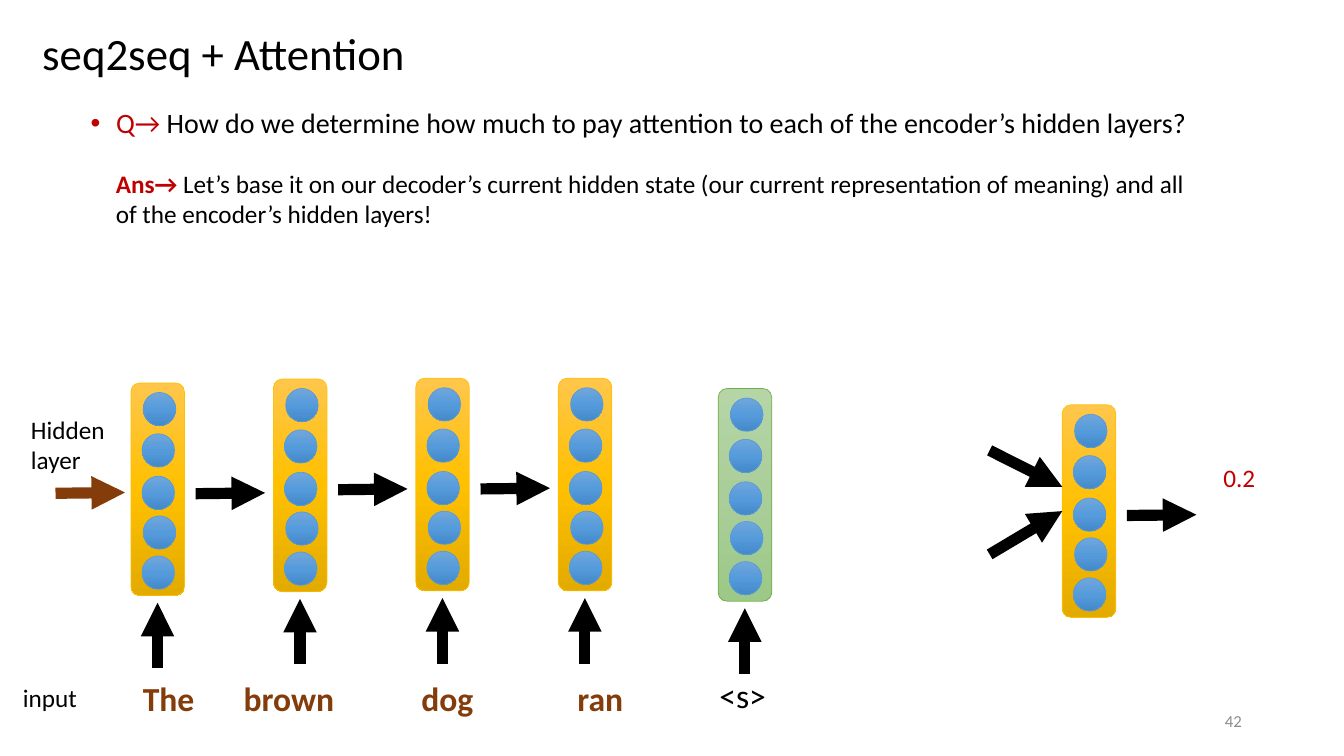
from copy import deepcopy

from lxml.etree import SubElement
from pptx import Presentation
from pptx.dml.color import RGBColor
from pptx.enum.shapes import MSO_CONNECTOR, MSO_SHAPE
from pptx.enum.text import MSO_ANCHOR, MSO_AUTO_SIZE, PP_ALIGN
from pptx.oxml.ns import qn
from pptx.util import Cm, Pt

COLORS = {
    "black": "000000",
    "red": "C00000",
    "brown": "843C0B",
    "gray": "8C8C8C",
    "gold_line": "FFC000",
    "green_line": "70AD47",
    "blue_line": "5B9BD5",
}
GRADIENTS = {
    "gold": ["FFC64B", "FFC000", "E3AB00"],
    "green": ["B5D5A7", "AACE9A", "9CC987"],
    "blue": ["71A6DB", "559BDB", "448ACA"],
}
FONT = "Calibri"


def add_arrow(shapes, start, end, color="black"):
    arrow = shapes.add_connector(
        MSO_CONNECTOR.STRAIGHT, *[Cm(value) for value in (*start, *end)])
    arrow.line.color.rgb = RGBColor.from_string(COLORS[color])
    arrow.line.width = Pt(8)
    properties = arrow._element.spPr
    SubElement(properties.find(qn("a:ln")), qn("a:tailEnd"), type="triangle")
    SubElement(properties, qn("a:effectLst"))
    return arrow


def style_runs(paragraph, size, *looks):
    """Format the runs in turn, each with a (color, bold) look."""
    for run, (color, bold) in zip(paragraph.runs, looks):
        run.font.name = FONT
        run.font.size = Pt(size)
        run.font.bold = bold
        run.font.color.rgb = RGBColor.from_string(COLORS[color])


prs = Presentation()
prs.slide_width, prs.slide_height = Cm(33.87), Cm(19.05)
slide = prs.slides.add_slide(prs.slide_layouts[1])

# Title and question
title, question = slide.placeholders
title.left, title.top, title.width, title.height = Cm(0.81), Cm(0.46), Cm(29.21), Cm(1.9)
title.text_frame.text = "seq2seq + Attention"
title.text_frame.vertical_anchor = MSO_ANCHOR.MIDDLE
heading = title.text_frame.paragraphs[0]
heading.alignment = PP_ALIGN.LEFT
heading.line_spacing = 0.9
style_runs(heading, 32, ("black", False))

question.left, question.top, question.width, question.height = (
    Cm(2.03), Cm(2.62), Cm(29.21), Cm(2.82))
question.text_frame.auto_size = MSO_AUTO_SIZE.NONE
question_line = question.text_frame.paragraphs[0]
question_line.text = "Q→ "
question_line.add_run().text = (
    "How do we determine how much to pay attention to each of the encoder’s hidden layers?")
question_line.line_spacing = 0.9
question_line.space_before = Pt(0)
indents = question_line._p.get_or_add_pPr()
indents.set("marL", str(Cm(0.64)))
indents.set("indent", str(-Cm(0.64)))
SubElement(indents, qn("a:buFont"), typeface="Arial")
SubElement(indents, qn("a:buChar"), char="•")
style_runs(question_line, 20, ("red", False), ("black", False))

# Hidden states: left, top, gradient, line, arrow up from input, arrow to the right
encoder_left, encoder_pitch = 3.3, 3.59
states = [
    (encoder_left + i * encoder_pitch, top, "gold", "gold_line", True, i < 3)
    for i, top in enumerate([9.65, 9.55, 9.53, 9.53])
]
states.append((18.1, 9.79, "green", "green_line", True, False))
states.append((26.77, 10.2, "gold", "gold_line", False, True))
unit_offsets = [(0.31, 0.24), (0.28, 1.28), (0.28, 2.35), (0.31, 3.35), (0.28, 4.36)]

for left, top, gradient, outline, from_input, to_right in states:
    state_group = slide.shapes.add_group_shape()
    column = state_group.shapes.add_shape(
        MSO_SHAPE.ROUNDED_RECTANGLE, Cm(left), Cm(top), Cm(1.35), Cm(5.36))
    parts = [(column, gradient, outline)]
    for dx, dy in unit_offsets:
        unit = state_group.shapes.add_shape(
            MSO_SHAPE.OVAL, Cm(left + dx), Cm(top + dy), Cm(0.82), Cm(0.84))
        parts.append((unit, "blue", "blue_line"))

    for part, fill_name, line_name in parts:
        part.shadow.inherit = False
        part.fill.gradient()
        part.fill.gradient_angle = 270
        stop_list = part._element.spPr.find(qn("a:gradFill")).find(qn("a:gsLst"))
        stop_list.append(deepcopy(stop_list[-1]))
        for i, (stop, color) in enumerate(zip(part.fill.gradient_stops, GRADIENTS[fill_name])):
            stop.position = i / 2
            stop.color.rgb = RGBColor.from_string(color)
        part.line.color.rgb = RGBColor.from_string(COLORS[line_name])
        part.line.width = Pt(0.5)

    if from_input:
        add_arrow(state_group.shapes, (left + 0.67, top + 7.19), (left + 0.67, top + 5.54))
    if to_right:
        add_arrow(state_group.shapes, (left + 1.63, top + 2.79), (left + 3.38, top + 2.77))

# Arrows into the first encoder state and the scoring layer, the last column
add_arrow(slide.shapes, (1.4, 12.43), (3.15, 12.41), "brown")
add_arrow(state_group.shapes, (24.94, 11.35), (26.77, 12.27))
decoder_arrow = add_arrow(slide.shapes, (24.94, 13.97), (26.77, 12.88))
decoder_arrow.end_connect(column, 1)

# Labels: text, left, top, width, height, size, color, bold, wrap
labels = [
    ("input", 0.33, 17.07, 1.88, 1.02, 18, "black", False, False),
    ("Hidden\nlayer", 0.53, 10.31, 2.39, 1.8, 18, "black", False, False),
    ("<s>", 17.88, 16.89, 1.7, 1.27, 24, "black", False, False),
    ("0.2", 30.58, 11.53, 1.32, 1.02, 18, "red", False, True),
    ("42", 23.93, 17.65, 7.62, 1.02, 12, "gray", False, True),
    ("The\tbrown\tdog\tran", 3.35, 16.97, 12.83, 1.27, 24, "brown", True, True),
    ("Ans→", 2.67, 4.11, 28.04, 1.8, 18, "red", True, True),
]
frames = {}
for text, left, top, width, height, size, color, bold, wrap in labels:
    frame = slide.shapes.add_textbox(Cm(left), Cm(top), Cm(width), Cm(height)).text_frame
    frame.word_wrap = wrap
    frame.text = text
    for paragraph in frame.paragraphs:
        style_runs(paragraph, size, (color, bold))
    frames[text] = frame

page_number = frames["42"]
page_number.vertical_anchor = MSO_ANCHOR.MIDDLE
page_number.paragraphs[0].alignment = PP_ALIGN.RIGHT

input_words = frames["The\tbrown\tdog\tran"].paragraphs[0]
tab_list = SubElement(input_words._p.get_or_add_pPr(), qn("a:tabLst"))
for position in (2.54, 7.02, 10.95):
    SubElement(tab_list, qn("a:tab"), pos=str(Cm(position)), algn="l")

answer = frames["Ans→"].paragraphs[0]
answer.add_run().text = (
    " Let’s base it on our decoder’s current hidden state (our current representation"
    " of meaning) and all of the encoder’s hidden layers!")
style_runs(answer, 18, ("red", True), ("black", False))

prs.save("out.pptx")
